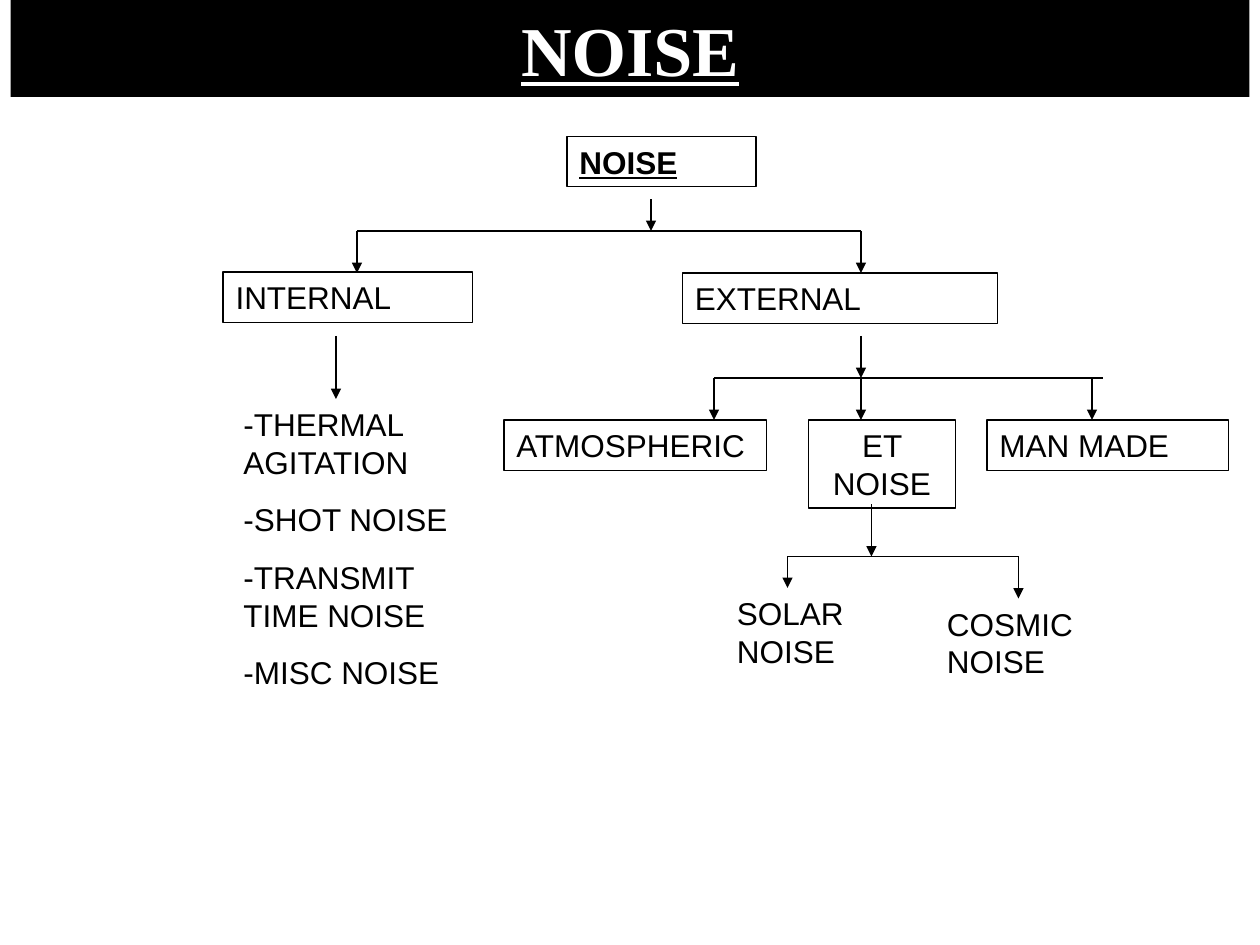
from lxml.etree import SubElement
from pptx import Presentation
from pptx.dml.color import RGBColor
from pptx.enum.shapes import MSO_CONNECTOR as Conn, MSO_SHAPE as Shape
from pptx.enum.text import MSO_ANCHOR as Anchor, MSO_AUTO_SIZE as AutoSize, PP_ALIGN as Align
from pptx.oxml.ns import qn
from pptx.util import Inches, Pt

BLACK = RGBColor(0x00, 0x00, 0x00)
WHITE = RGBColor(0xFF, 0xFF, 0xFF)
COLS, ROWS = 120, 90
LINE_H, TWO_LINES_H = 4.8, 8.4  # box heights in rows


def write(tf, text, size=18, font="Arial", color=BLACK, bold=False,
          underline=False, align=Align.LEFT, gap=11.2):
    """Fill a text frame, one paragraph per line of text."""
    tf.word_wrap = True
    tf.auto_size = AutoSize.SHAPE_TO_FIT_TEXT
    tf.vertical_anchor = Anchor.TOP
    for i, line in enumerate(text.split("\n")):
        p = tf.paragraphs[0] if i == 0 else tf.add_paragraph()
        p.alignment = align
        if i:
            p.space_before = Pt(gap)
        r = p.add_run()
        r.text = line
        f = r.font
        f.size, f.name, f.bold, f.underline = Pt(size), font, bold, underline
        f.color.rgb = color


class Diagram:
    """Draws on one slide; all lengths are columns and rows of the grid."""

    def __init__(self, prs, line_width=0.75):
        self.slide = prs.slides.add_slide(prs.slide_layouts[6])
        self.line_width = Pt(line_width)
        self.col = prs.slide_width / COLS
        self.row = prs.slide_height / ROWS

    def place(self, x, y, w, h):
        return [round(n) for n in (x * self.col, y * self.row, w * self.col, h * self.row)]

    def box(self, text, x, y, w, h=LINE_H, fill=None, **fmt):
        sp = self.slide.shapes.add_shape(Shape.RECTANGLE, *self.place(x, y, w, h))
        sp.shadow.inherit = False
        if fill is None:
            sp.fill.background()
            sp.line.color.rgb = BLACK
            sp.line.width = self.line_width
        else:
            sp.fill.solid()
            sp.fill.fore_color.rgb = fill
            sp.line.fill.background()
        write(sp.text_frame, text, **fmt)

    def label(self, text, x, y, w, h, **fmt):
        tb = self.slide.shapes.add_textbox(*self.place(x, y, w, h))
        write(tb.text_frame, text, **fmt)

    def line(self, x1, y1, x2, y2, arrow=False):
        ends = self.place(x1, y1, x2, y2)
        cx = self.slide.shapes.add_connector(Conn.STRAIGHT, *ends)
        cx.line.color.rgb = BLACK
        cx.line.width = self.line_width
        if arrow:
            SubElement(cx.line._get_or_add_ln(), qn("a:tailEnd"), type="triangle")
        SubElement(cx._element.spPr, qn("a:effectLst"))

    def arrow_down(self, x, top, bottom):
        self.line(x, top, x, bottom, arrow=True)

    def branch(self, x, top, bar, left, right, drops):
        """A stem down to a bar, and an arrow down from the bar for each drop."""
        self.line(left, bar, right, bar)
        self.arrow_down(x, top, bar)
        for drop_x, bottom in drops:
            self.arrow_down(drop_x, bar, bottom)


def main():
    prs = Presentation()
    prs.slide_width, prs.slide_height = Inches(10), Inches(7.5)
    d = Diagram(prs)

    # Root and its two kinds
    d.box("NOISE", 54, 13, 18, bold=True, underline=True)
    d.branch(62, 19, 22, 34, 82, [(34, 26), (82, 26)])
    d.box("INTERNAL", 21.25, 25.9, 23.75)
    d.box("EXTERNAL", 65, 26, 30)

    # Internal noise
    d.arrow_down(32, 32, 38)
    d.label("-THERMAL AGITATION\n-SHOT NOISE\n-TRANSMIT TIME NOISE\n-MISC NOISE",
            22, 38, 24, 34)

    # External noise
    d.branch(82, 32, 36, 68, 105, [(68, 40), (82, 40), (104, 40)])
    d.box("ATMOSPHERIC", 48, 40, 25)
    d.box("ET NOISE", 77, 40, 14, TWO_LINES_H, align=Align.CENTER)
    d.box("MAN MADE", 94, 40, 23)

    # Extraterrestrial noise
    d.branch(83, 48, 53, 75, 97, [(75, 56), (97, 57)])
    d.label("SOLAR NOISE", 69, 56, 17, TWO_LINES_H)
    d.label("COSMIC NOISE", 89, 57, 15, TWO_LINES_H)

    # Title band
    d.box("NOISE", 1, 0, 118, 9.24, fill=BLACK, size=40, font="Times New Roman",
          color=WHITE, bold=True, underline=True, align=Align.CENTER)

    prs.save("out.pptx")


if __name__ == "__main__":
    main()
